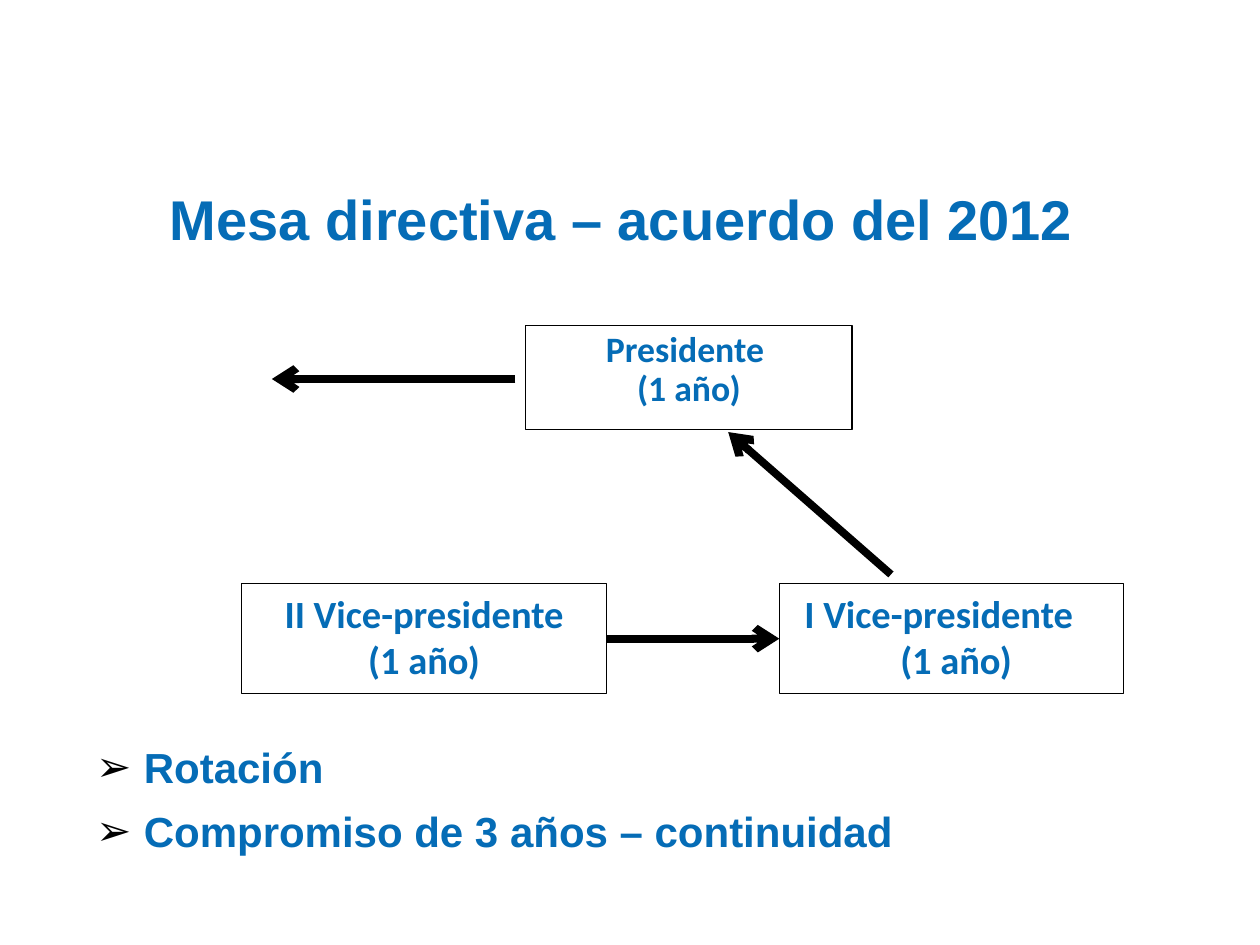
import pptx
import pptx.util
import pptx.dml.color
import pptx.enum.shapes
import pptx.enum.text
import pptx.oxml
import pptx.oxml.ns

Cm, Pt = pptx.util.Cm, pptx.util.Pt
RGB = pptx.dml.color.RGBColor.from_string
ALIGN = pptx.enum.text.PP_ALIGN
ANCHOR = pptx.enum.text.MSO_ANCHOR

THEME = {
    "blue": RGB("056CB6"), "black": RGB("000000"),
    "heading": "Arial", "label": "Calibri",
    "title": 32, "bullet": 24, "president": 20.4, "vice": 22,
    "border": 0.75, "arrow": 4.5,
}

TITLE = ("Mesa directiva – acuerdo del 2012", (1.69, 3.3, 21.79, 2.21))
BULLETS = (["Rotación", "Compromiso de 3 años – continuidad"], (1.69, 14.8, 22.12, 2.9))
TEXT_INSETS = (0.15, 0.15, 0.25, 0.15)
BOX_INSETS = (0.25, 0.13, 0.25, 0.13)
ROLES = {
    "president": {"lines": ["Presidente ", "(1 año)"], "at": (10.6, 6.56, 6.58, 2.1),
                  "size": "president", "spacing": 0.9, "insets": BOX_INSETS, "indents": (0, 0)},
    "first": {"lines": ["I Vice-presidente", "(1 año)"], "at": (15.71, 11.77, 6.94, 2.21),
              "size": "vice", "spacing": 1.0, "insets": (0, 0.13, 0.51, 0.13), "indents": (0, 0.7)},
    "second": {"lines": ["II Vice-presidente", "(1 año)"], "at": (4.87, 11.77, 7.36, 2.21),
               "size": "vice", "spacing": 1.0, "insets": BOX_INSETS, "indents": (0, 0)},
}
ARROWS = [
    {"joins": ("second", "first"), "ends": (12.23, 12.87, 15.71, 12.87)},
    {"joins": None, "ends": (17.96, 11.58, 14.68, 8.71)},
    {"joins": None, "ends": (10.39, 7.64, 5.48, 7.64)},
]


def apply(obj, values):
    for name, value in values.items():
        setattr(obj, name, value)


def add_xml(parent, tag, attrs="", inner=""):
    ns = pptx.oxml.ns.nsdecls("a")
    parent.append(pptx.oxml.parse_xml(f"<a:{tag} {ns} {attrs}>{inner}</a:{tag}>"))


def set_frame(tf, insets, anchor):
    sides = ("margin_left", "margin_top", "margin_right", "margin_bottom")
    apply(tf, dict(zip(sides, map(Cm, insets))))
    apply(tf, {"word_wrap": True, "vertical_anchor": anchor,
               "auto_size": pptx.enum.text.MSO_AUTO_SIZE.NONE})


def write(tf, lines, font, size, **paragraph):
    for i, line in enumerate(lines):
        p = tf.paragraphs[0] if i == 0 else tf.add_paragraph()
        apply(p, paragraph)
        r = p.add_run()
        r.text = line
        apply(r.font, {"name": THEME[font], "size": Pt(THEME[size]), "bold": True})
        r.font.color.rgb = THEME["blue"]


def add_title(s):
    text, at = TITLE
    sp = s.shapes.title
    apply(sp, dict(zip(("left", "top", "width", "height"), map(Cm, at))))
    set_frame(sp.text_frame, TEXT_INSETS, ANCHOR.MIDDLE)
    write(sp.text_frame, [text], "heading", "title", alignment=ALIGN.CENTER)


def add_bullets(s):
    lines, at = BULLETS
    tf = s.shapes.add_textbox(*map(Cm, at)).text_frame
    set_frame(tf, TEXT_INSETS, ANCHOR.TOP)
    write(tf, lines, "heading", "bullet", space_before=Pt(8), alignment=ALIGN.LEFT)
    for p in tf.paragraphs:
        pPr = p._p.get_or_add_pPr()
        pPr.set("marL", str(Cm(1.06)))
        pPr.set("indent", str(Cm(-0.96)))
        add_xml(pPr, "buClr", inner=f'<a:srgbClr val="{THEME["black"]}"/>')
        add_xml(pPr, "buFont", f'typeface="{THEME["heading"]}"')
        add_xml(pPr, "buChar", 'char="➢"')


def add_role(s, role):
    sp = s.shapes.add_shape(pptx.enum.shapes.MSO_SHAPE.RECTANGLE, *map(Cm, role["at"]))
    sp.shadow.inherit = False
    sp.fill.background()
    sp.line.color.rgb = THEME["black"]
    sp.line.width = Pt(THEME["border"])
    set_frame(sp.text_frame, role["insets"], ANCHOR.TOP)
    write(sp.text_frame, role["lines"], "label", role["size"],
          alignment=ALIGN.CENTER, line_spacing=role["spacing"])
    for p, indent in zip(sp.text_frame.paragraphs, role["indents"]):
        p._p.get_or_add_pPr().set("marL", str(Cm(indent)))
    return sp


def add_arrow(s, arrow, boxes):
    c = s.shapes.add_connector(pptx.enum.shapes.MSO_CONNECTOR.STRAIGHT, *map(Cm, arrow["ends"]))
    if arrow["joins"]:
        start, end = arrow["joins"]
        c.begin_connect(boxes[start], 3)
        c.end_connect(boxes[end], 1)
    c.line.color.rgb = THEME["black"]
    c.line.width = Pt(THEME["arrow"])
    spPr = c._element.spPr
    add_xml(spPr.get_or_add_ln(), "tailEnd", 'type="arrow"')
    add_xml(spPr, "effectLst")


def main():
    prs = pptx.Presentation()
    apply(prs, {"slide_width": Cm(25.4), "slide_height": Cm(19.05)})
    s = prs.slides.add_slide(prs.slide_layouts[5])
    add_title(s)
    add_bullets(s)
    boxes = {name: add_role(s, role) for name, role in ROLES.items()}
    for arrow in ARROWS:
        add_arrow(s, arrow, boxes)
    prs.save("out.pptx")


if __name__ == "__main__":
    main()
